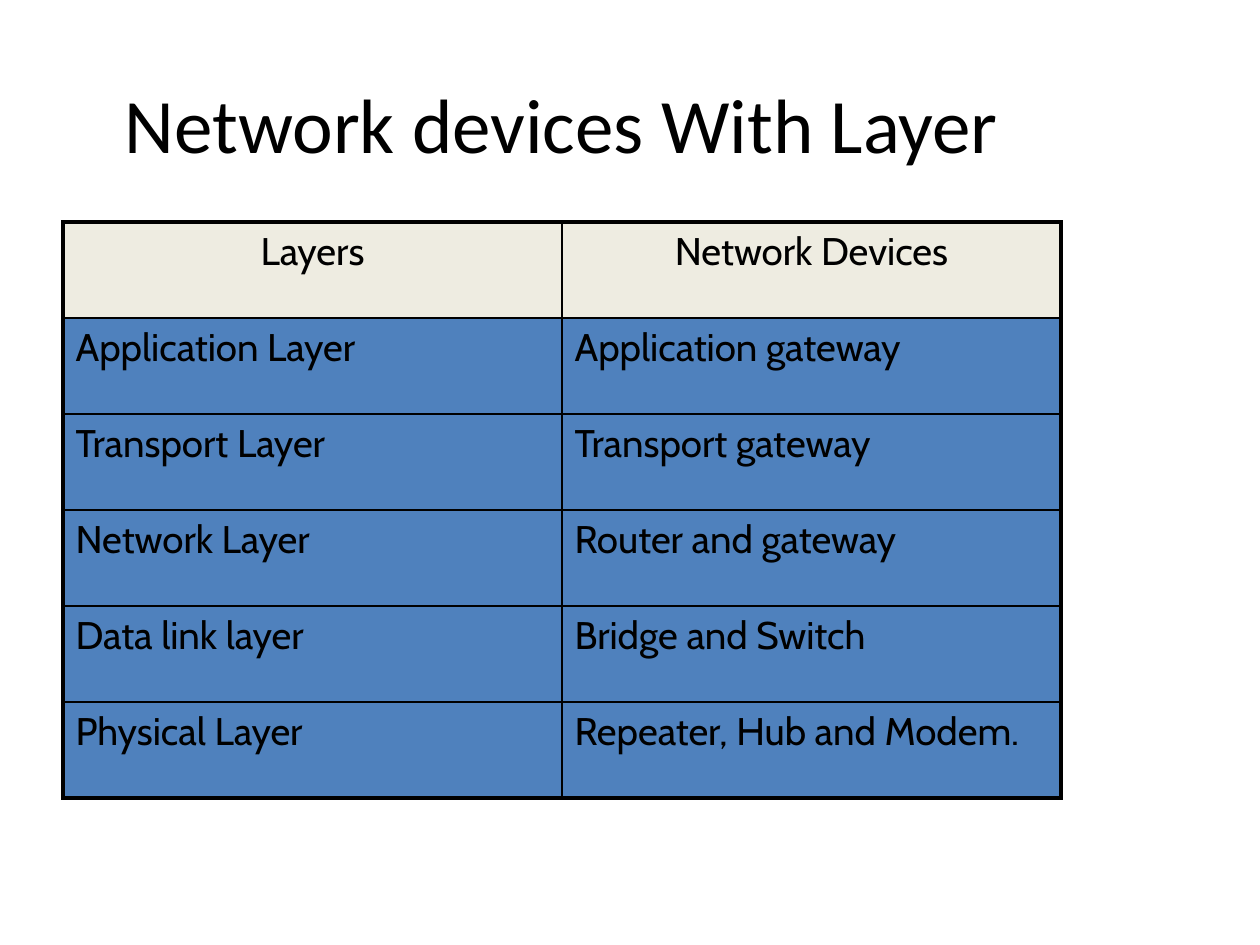
from lxml import etree
from pptx import Presentation
from pptx.dml.color import RGBColor
from pptx.enum.text import MSO_ANCHOR, PP_ALIGN
from pptx.oxml.ns import qn
from pptx.util import Emu, Pt

CENTER, LEFT = PP_ALIGN.CENTER, PP_ALIGN.LEFT
MIDDLE = MSO_ANCHOR.MIDDLE
COLORS = {"ink": "000000", "header": "EEECE1", "body": "4F81BD"}
THICK, THIN = Pt(2.25), Pt(1)


def px(length):
    return Emu(round(length * 914400 / 126))


def style_text(paragraph, font_name, size, alignment):
    paragraph.alignment = alignment
    paragraph.font.name = font_name
    paragraph.font.size = Pt(size)
    paragraph.font.color.rgb = RGBColor.from_string(COLORS["ink"])


prs = Presentation()
prs.slide_width, prs.slide_height = px(1260), px(945)
slide = prs.slides.add_slide(prs.slide_layouts[6])

title = slide.shapes.add_textbox(px(63), px(44), px(998), px(158)).text_frame
title.word_wrap = True
title.vertical_anchor = MIDDLE
title.text = "Network devices With Layer"
style_text(title.paragraphs[0], "Calibri", 44, CENTER)

layer_devices = [
    ("Layers", "Network Devices"),
    ("Application Layer", "Application gateway"),
    ("Transport Layer", "Transport gateway"),
    ("Network Layer", "Router and gateway"),
    ("Data link layer", "Bridge and Switch"),
    ("Physical Layer", "Repeater, Hub and Modem."),
]
last_row = len(layer_devices) - 1
row_height = 96

devices_table = slide.shapes.add_table(
    len(layer_devices), 2, px(63), px(222), px(998), px(row_height * len(layer_devices))
).table
devices_table.first_row = False
devices_table.horz_banding = False
for column in devices_table.columns:
    column.width = px(499)

for r, entries in enumerate(layer_devices):
    devices_table.rows[r].height = px(row_height)
    for c, entry in enumerate(entries):
        cell = devices_table.cell(r, c)
        cell.text = entry
        style_text(cell.text_frame.paragraphs[0], "Cabin", 22, LEFT if r else CENTER)
        outer_edges = {"lnL": c == 0, "lnR": c == 1, "lnT": r == 0, "lnB": r == last_row}
        cell_properties = cell._tc.get_or_add_tcPr()
        for edge, is_outer in outer_edges.items():
            border = etree.SubElement(cell_properties, qn(f"a:{edge}"), w=str(THICK if is_outer else THIN))
            border_fill = etree.SubElement(border, qn("a:solidFill"))
            etree.SubElement(border_fill, qn("a:srgbClr"), val=COLORS["ink"])
        cell.fill.solid()
        cell.fill.fore_color.rgb = RGBColor.from_string(COLORS["body" if r else "header"])

prs.save("out.pptx")
